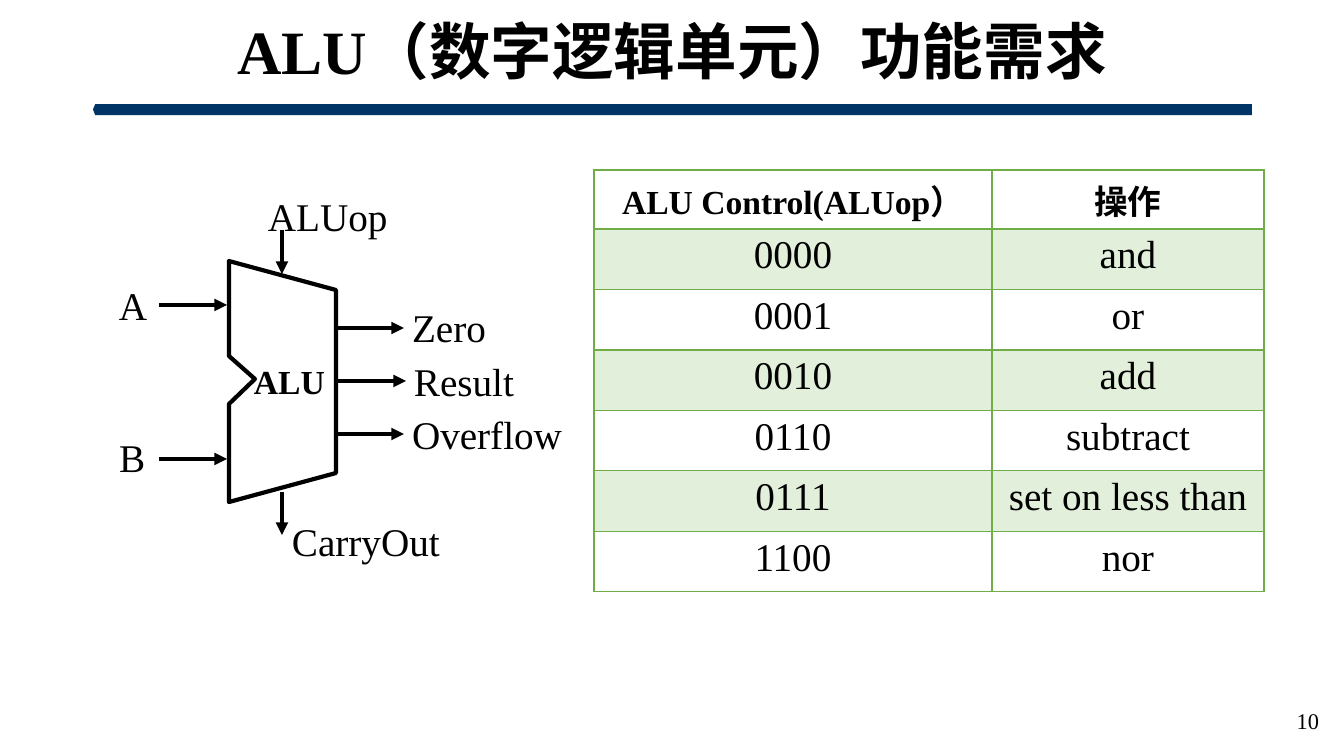
import pptx
import pptx.dml.color
import pptx.enum.shapes
import pptx.enum.text
import pptx.oxml
import pptx.oxml.ns
import pptx.util

PX = 914400 / 100.8
FONT = "Times New Roman"
BLACK = pptx.dml.color.RGBColor(0x00, 0x00, 0x00)
WHITE = pptx.dml.color.RGBColor(0xFF, 0xFF, 0xFF)
NAVY = pptx.dml.color.RGBColor(0x00, 0x33, 0x66)
GREEN = pptx.dml.color.RGBColor(0x70, 0xAD, 0x47)
PALE_GREEN = pptx.dml.color.RGBColor(0xE2, 0xEF, 0xDA)
ALIGN = pptx.enum.text.PP_ALIGN
MIDDLE = pptx.enum.text.MSO_ANCHOR.MIDDLE

OPERATIONS = [
    ("ALU Control(ALUop）", "操作"),
    ("0000", "and"),
    ("0001", "or"),
    ("0010", "add"),
    ("0110", "subtract"),
    ("0111", "set on less than"),
    ("1100", "nor"),
]
ALU_OUTLINE = [(110, 71), (217, 100), (217, 283), (110, 312),
               (110, 214), (136, 189), (110, 166)]
SIGNALS = [
    ("ALUop", (149, 2, 120), (163, 40, 163, 84)),
    ("A", (0, 91, 28), (40, 115, 108, 115)),
    ("B", (0, 243, 26), (40, 269, 108, 269)),
    ("Zero", (293, 113, 74), (217, 138, 285, 138)),
    ("Result", (295, 167, 101), (219, 191, 287, 191)),
    ("Overflow", (293, 220, 150), (217, 244, 285, 244)),
    ("CarryOut", (173, 327, 148), (163, 302, 163, 345)),
]


def emu(*lengths):
    """Turn px lengths into EMU."""
    return [pptx.util.Emu(round(length * PX)) for length in lengths]


def write(frame, text, size, align, bold=False):
    """Write one formatted paragraph into a text frame."""
    paragraph = frame.paragraphs[0]
    paragraph.text = text
    paragraph.alignment = align
    paragraph.font.name = FONT
    paragraph.font.size = pptx.util.Pt(size)
    paragraph.font.bold = bold
    paragraph.font.color.rgb = BLACK
    return paragraph


def add_label(shapes, box, text, size, align):
    """Add an unpadded, vertically centred label."""
    frame = shapes.add_textbox(*emu(*box)).text_frame
    frame.margin_left = frame.margin_right = 0
    frame.margin_top = frame.margin_bottom = 0
    frame.vertical_anchor = MIDDLE
    frame.word_wrap = False
    write(frame, text, size, align)


def add_arrow(shapes, ends):
    """Add a black arrow that points at its second end."""
    arrow = shapes.add_connector(pptx.enum.shapes.MSO_CONNECTOR.STRAIGHT, *emu(*ends))
    arrow.line.color.rgb = BLACK
    arrow.line.width = pptx.util.Pt(3)
    head = pptx.oxml.parse_xml(
        f'<a:tailEnd {pptx.oxml.ns.nsdecls("a")} type="triangle"/>')
    arrow.line._get_or_add_ln().append(head)
    arrow._element.spPr.append(
        pptx.oxml.parse_xml(f'<a:effectLst {pptx.oxml.ns.nsdecls("a")}/>'))


def add_heading(slide, box):
    """Place the title with the navy rule below it."""
    left, top, width, height = box
    title = slide.shapes.title
    title.left, title.top, title.width, title.height = emu(left, top, width, 83)
    title.text_frame.vertical_anchor = MIDDLE
    heading = write(title.text_frame, "ALU（数字逻辑单元）功能需求", 44, ALIGN.CENTER, True)
    heading.line_spacing = 0.9
    rule = slide.shapes.add_shape(pptx.enum.shapes.MSO_SHAPE.PENTAGON,
                                  *emu(left, top + height - 11, width, 11))
    rule.adjustments[0] = 0.2
    rule.rotation = 180
    rule.shadow.inherit = False
    rule.fill.solid()
    rule.fill.fore_color.rgb = NAVY
    rule.line.fill.background()


def add_alu_diagram(slide, left, top):
    """Draw the ALU with its inputs and outputs from the given corner."""
    shapes = slide.shapes.add_group_shape().shapes
    start, *others = [(left + x, top + y) for x, y in ALU_OUTLINE]
    builder = shapes.build_freeform(*start, scale=PX)
    builder.add_line_segments(others, close=True)
    alu = builder.convert_to_shape()
    alu.shadow.inherit = False
    alu.fill.solid()
    alu.fill.fore_color.rgb = WHITE
    alu.line.color.rgb = BLACK
    alu.line.width = pptx.util.Pt(3)
    alu.text_frame.vertical_anchor = MIDDLE
    alu.text_frame.margin_left, alu.text_frame.margin_right = emu(14, 0)
    write(alu.text_frame, "ALU", 24, ALIGN.CENTER, True)
    for name, (x, y, width), (x1, y1, x2, y2) in SIGNALS:
        add_arrow(shapes, (left + x1, top + y1, left + x2, top + y2))
        add_label(shapes, (left + x, top + y, width, 47), name, 28, ALIGN.LEFT)


def add_borders(cell, bottom_width):
    """Give a cell green borders on all sides."""
    properties = cell._tc.get_or_add_tcPr()
    widths = {"lnL": 1, "lnR": 1, "lnT": 1, "lnB": bottom_width}
    for position, (side, width) in enumerate(widths.items()):
        properties.insert(position, pptx.oxml.parse_xml(
            f'<a:{side} {pptx.oxml.ns.nsdecls("a")} w="{pptx.util.Pt(width)}">'
            f'<a:solidFill><a:srgbClr val="{GREEN}"/></a:solidFill></a:{side}>'))


def add_operation_table(slide, box):
    """Tabulate the operation chosen by each control code."""
    left, top, width, height = box
    table = slide.shapes.add_table(len(OPERATIONS), 2, *emu(*box)).table
    table.first_row = table.horz_banding = False
    table.columns[0].width, table.columns[1].width = emu(398, width - 398)
    header_height = 59
    code_height = (height - header_height) / (len(OPERATIONS) - 1)
    for index, operation in enumerate(OPERATIONS):
        header = index == 0
        table.rows[index].height, = emu(header_height if header else code_height)
        for column, text in enumerate(operation):
            cell = table.cell(index, column)
            write(cell.text_frame, text, 24 if header else 28, ALIGN.CENTER, header)
            cell.fill.solid()
            cell.fill.fore_color.rgb = PALE_GREEN if index % 2 else WHITE
            add_borders(cell, 2 if header else 1)


def main():
    """Build and save the slide."""
    deck = pptx.Presentation()
    deck.slide_width, deck.slide_height = emu(1344, 756)
    slide = deck.slides.add_slide(deck.slide_layouts[5])
    add_heading(slide, (93, 13, 1159, 102))
    add_operation_table(slide, (594, 170, 670, 422))
    add_alu_diagram(slide, 119, 190)
    add_label(slide.shapes, (1026, 701, 293, 40), "10", 16, ALIGN.RIGHT)
    deck.save("out.pptx")


if __name__ == "__main__":
    main()
